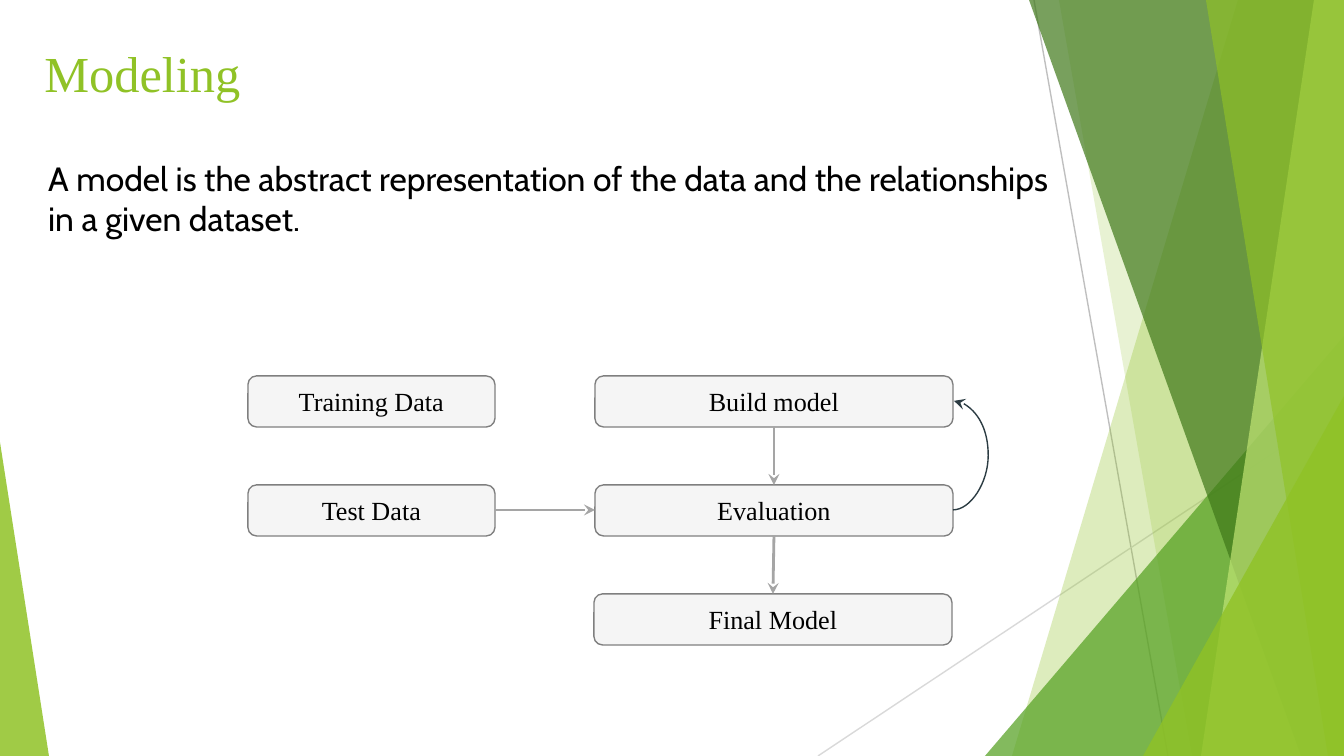
"""Build the Modeling slide: a definition above a flow chart of model evaluation."""
from dataclasses import dataclass

from lxml.etree import SubElement
from pptx import Presentation
from pptx.dml.color import RGBColor
from pptx.enum.shapes import MSO_CONNECTOR as Link, MSO_SHAPE as Shape
from pptx.enum.text import MSO_ANCHOR as Anchor, PP_ALIGN as Align
from pptx.oxml.ns import qn
from pptx.util import Pt


@dataclass(frozen=True)
class Theme:
    lime: str = "90C226"
    pale_lime: str = "C0E474"
    green: str = "54A021"
    forest: str = "3F7819"
    box_fill: str = "F2F2F2"
    box_line: str = "7F7F7F"
    arrow: str = "A5A5A5"
    loop: str = "2C3C43"
    ray: str = "BFBFBF"
    pale_ray: str = "D9D9D9"
    ink: str = "000000"
    serif: str = "Times New Roman"
    sans: str = "Cabin"
    title_size: int = 27
    body_size: int = 18
    label_size: int = 14


theme = Theme()
WIDTH, HEIGHT = 1344, 756
PX = 9144000 / WIDTH


def emu(*lengths):
    return [round(length * PX) for length in lengths]


def add_line(kind, ends, colour, weight, arrow=True):
    line = page.shapes.add_connector(kind, *emu(*ends))
    line.line.color.rgb = RGBColor.from_string(colour)
    line.line.width = Pt(weight)
    properties = line._element.spPr
    if arrow:
        SubElement(properties.find(qn("a:ln")), qn("a:tailEnd"), type="stealth")
    SubElement(properties, qn("a:effectLst"))
    return line


deck = Presentation()
deck.slide_width, deck.slide_height = emu(WIDTH, HEIGHT)
page = deck.slides.add_slide(deck.slide_layouts[5])

add_line(Link.STRAIGHT, (1034, 0, 1168, HEIGHT), theme.ray, 0.75, arrow=False)
add_line(Link.STRAIGHT, (WIDTH, 406, 818, HEIGHT), theme.pale_ray, 0.75, arrow=False)

# Slabs hold top and bottom x of the slanted edge; triangles hold left, top, width, height, apex.
facets = [
    ((1238, 1012), theme.lime, 30),
    ((1059, 1192), theme.lime, 20),
    ((985, 336, 359, 420, 1), theme.green, 72),
    ((1029, 1301), theme.forest, 70),
    ((1314, 1201), theme.pale_lime, 70),
    ((1206, 1328), theme.lime, 65),
    ((1143, 396, 201, 360, 1), theme.lime, 80),
    ((0, 442, 49, 314, 0), theme.lime, 85),
]
for outline, colour, opacity in facets:
    if len(outline) == 2:
        top, bottom = outline
        builder = page.shapes.build_freeform(top, 0, scale=PX)
        builder.add_line_segments([(WIDTH, 0), (WIDTH, HEIGHT), (bottom, HEIGHT)])
        facet = builder.convert_to_shape()
    else:
        facet = page.shapes.add_shape(Shape.ISOSCELES_TRIANGLE, *emu(*outline[:4]))
        facet.adjustments[0] = outline[4]
    facet.shadow.inherit = False
    facet.line.fill.background()
    facet.fill.solid()
    facet.fill.fore_color.rgb = RGBColor.from_string(colour)
    tint = facet._element.spPr.find(qn("a:solidFill"))[0]
    SubElement(tint, qn("a:alpha"), val=str(opacity * 1000))

title = page.shapes.title
title.left, title.top, title.width, title.height = emu(31, 0, 948, 145)
title.text_frame.text = "Modeling"
title.text_frame.vertical_anchor = Anchor.MIDDLE
definition = page.shapes.add_textbox(*emu(35, 151, 1030, 95))
definition.text_frame.word_wrap = True
definition.text_frame.text = (
    "A model is the abstract representation of the data and the relationships "
    "in a given dataset."
)
for box, size, face, colour in [
    (title, theme.title_size, theme.serif, theme.lime),
    (definition, theme.body_size, theme.sans, theme.ink),
]:
    para = box.text_frame.paragraphs[0]
    para.alignment = Align.LEFT
    para.font.size, para.font.name = Pt(size), face
    para.font.color.rgb = RGBColor.from_string(colour)

ROW_TOP, ROW_STEP, BOX_HEIGHT = 376, 109, 51
DATA_LEFT, DATA_WIDTH = 248, 247
MODEL_LEFT, MODEL_WIDTH = 595, 358
stages = [
    ("Training Data", DATA_LEFT, DATA_WIDTH, 0),
    ("Test Data", DATA_LEFT, DATA_WIDTH, 1),
    ("Build model", MODEL_LEFT, MODEL_WIDTH, 0),
    ("Evaluation", MODEL_LEFT, MODEL_WIDTH, 1),
    ("Final Model", MODEL_LEFT - 1, MODEL_WIDTH, 2),
]
for label, left, width, row in stages:
    place = emu(left, ROW_TOP + row * ROW_STEP, width, BOX_HEIGHT)
    box = page.shapes.add_shape(Shape.ROUNDED_RECTANGLE, *place)
    box.shadow.inherit = False
    box.fill.solid()
    box.fill.fore_color.rgb = RGBColor.from_string(theme.box_fill)
    tint = box._element.spPr.find(qn("a:solidFill"))[0]
    SubElement(tint, qn("a:alpha"), val="70000")
    box.line.color.rgb = RGBColor.from_string(theme.box_line)
    box.line.width = Pt(0.75)
    box.text_frame.vertical_anchor = Anchor.MIDDLE
    para = box.text_frame.paragraphs[0]
    para.text = label
    para.alignment = Align.CENTER
    para.font.size, para.font.name = Pt(theme.label_size), theme.serif
    para.font.color.rgb = RGBColor.from_string(theme.ink)

center = MODEL_LEFT + MODEL_WIDTH // 2
right = MODEL_LEFT + MODEL_WIDTH
build_y = ROW_TOP + BOX_HEIGHT // 2
test_y = build_y + ROW_STEP
for row in range(2):
    start = ROW_TOP + row * ROW_STEP + BOX_HEIGHT
    end = ROW_TOP + (row + 1) * ROW_STEP
    add_line(Link.STRAIGHT, (center, start, center - row, end), theme.arrow, 1.5)
add_line(Link.STRAIGHT, (DATA_LEFT + DATA_WIDTH, test_y, MODEL_LEFT, test_y), theme.arrow, 1.5)

loop = add_line(Link.CURVE, (right, test_y, right + 1, build_y), theme.loop, 0.75)
guides = loop._element.spPr.find(qn("a:prstGeom")).get_or_add_avLst()
SubElement(guides, qn("a:gd"), name="adj1", fmla="val 3500000")

deck.save("out.pptx")
